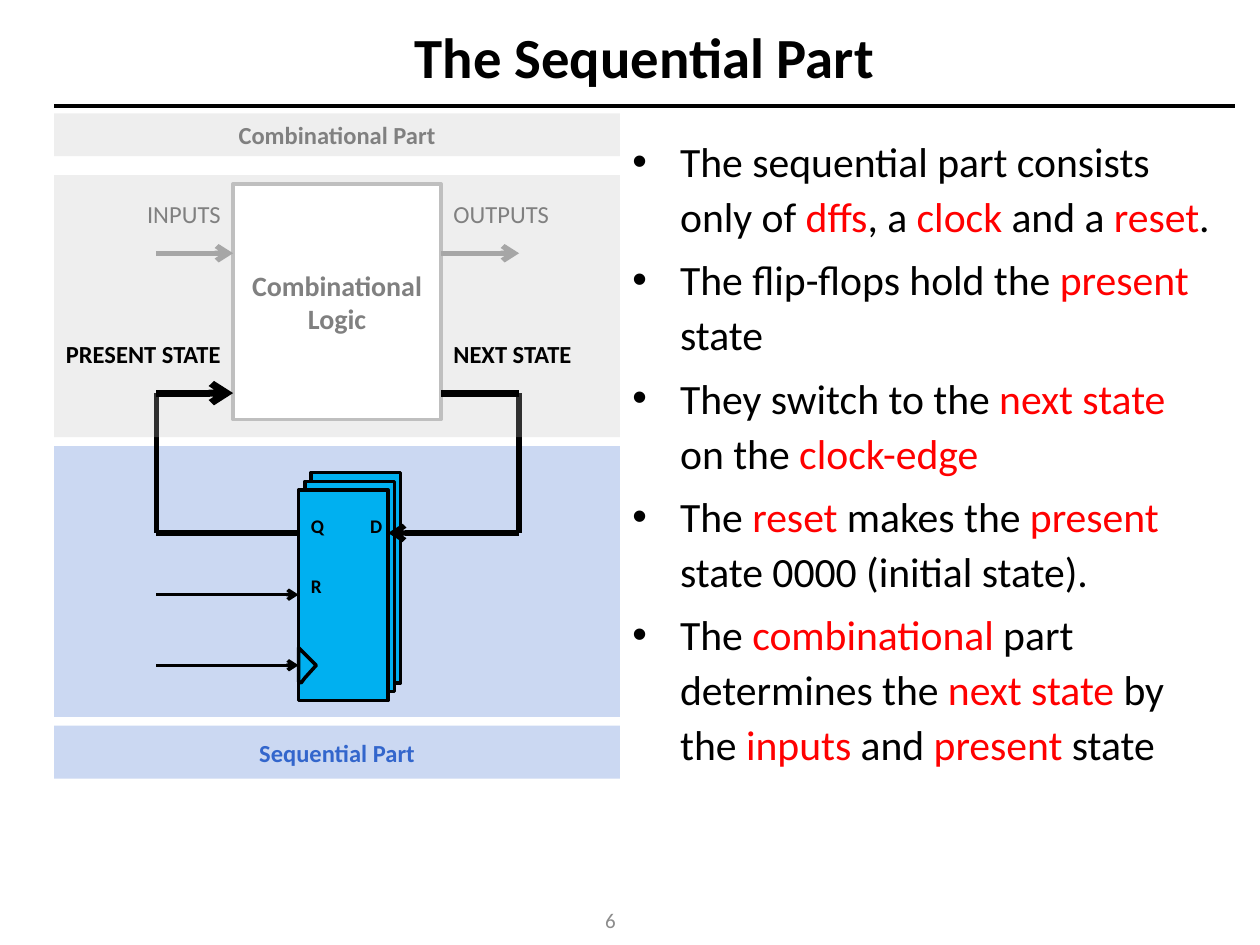
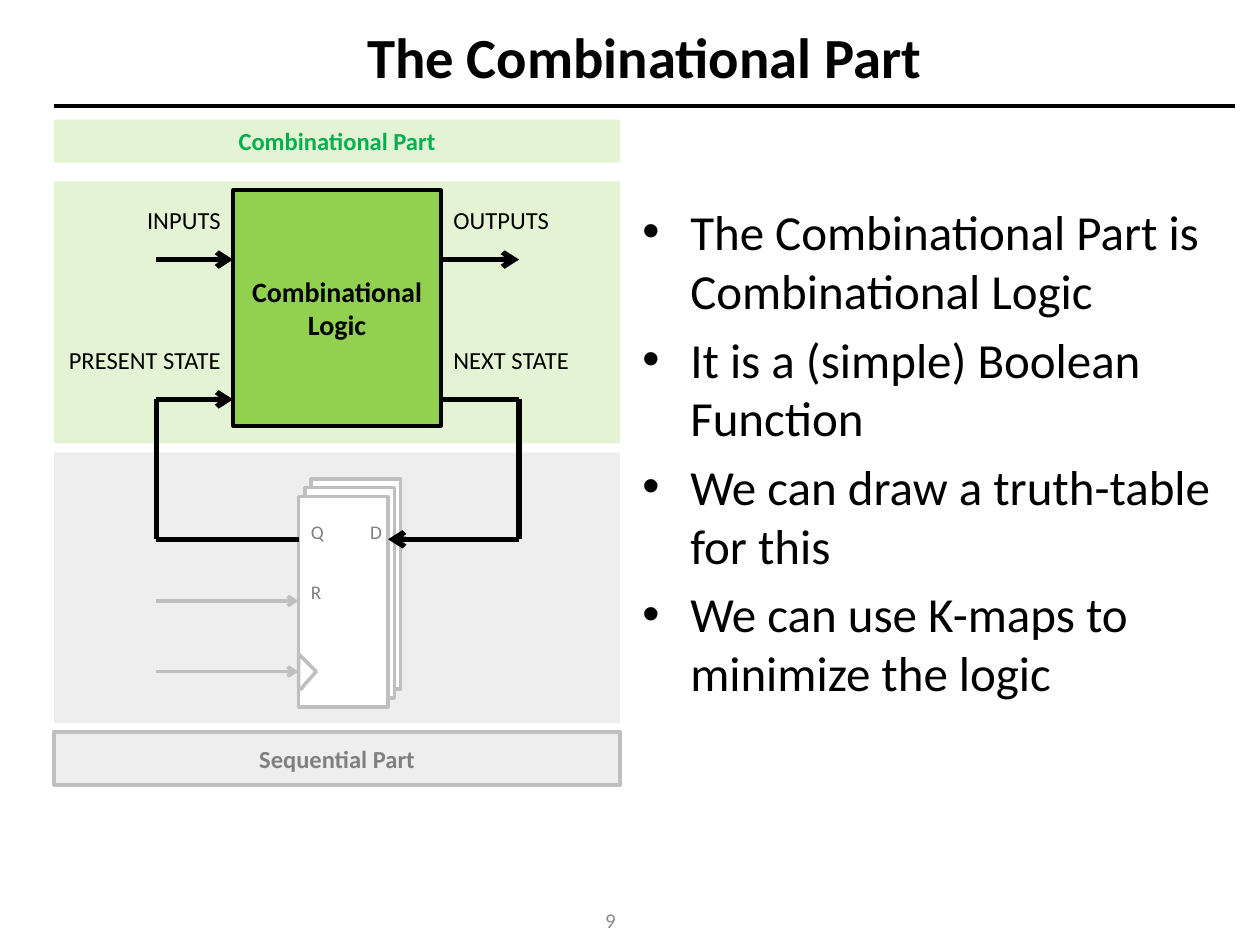
import pptx
import pptx.util
import pptx.dml.color
import pptx.enum.shapes
import pptx.enum.text
import pptx.oxml
import pptx.oxml.ns

Inches = pptx.util.Inches
Pt = pptx.util.Pt
RGB = pptx.dml.color.RGBColor
ALIGN = pptx.enum.text.PP_ALIGN
ANCHOR = pptx.enum.text.MSO_ANCHOR
RECT = pptx.enum.shapes.MSO_SHAPE.RECTANGLE
LINE = pptx.enum.shapes.MSO_CONNECTOR.STRAIGHT

BLACK = RGB(0, 0, 0)
WHITE = RGB(255, 255, 255)
RED = RGB(255, 0, 0)
SILVER = RGB(0xBF, 0xBF, 0xBF)
MIST = RGB(0xA6, 0xA6, 0xA6)
GRAY = RGB(0x80, 0x80, 0x80)
FOOT = RGB(0x8C, 0x8C, 0x8C)
BLUE = RGB(0x33, 0x66, 0xCC)
CYAN = RGB(0, 0xB0, 0xF0)
LIME = RGB(0x92, 0xD0, 0x50)
GREEN = RGB(0, 0xB0, 0x50)
FONT = "Calibri"

LEFT, WIDE = 0.43, 4.49
FLOP = (2.37, 3.89, 0.71, 1.67)
LOGIC = (1.85, 1.46, 1.65, 1.87)
FAR_L, FAR_R = 1.24, 4.12
IN_Y, STATE_Y, FLOP_Y = 2.01, 3.12, 4.23
PINS = [("Q", 2.37, 4.03), ("D", 2.84, 4.03), ("R", 2.37, 4.51)]
CLOCK = [(2.37, 5.41), (2.37, 5.14), (2.51, 5.28), (2.42, 5.38), (2.39, 5.42)]

SLIDES = [
    dict(
        title="The Sequential Part", page="6", drop=0,
        body=(4.92, 0.99, 4.84, 5.59), size=23.8, lead=1.1,
        points=[
            "The sequential part consists only of *dffs*, a *clock* and a *reset*.",
            "The flip-flops hold the *present* state",
            "They switch to the *next state *on the *clock-edge*",
            "The *reset* makes the *present* state 0000 (initial state).",
            "The *combinational* part determines the *next state *by the *inputs* and *present* state",
        ],
        veil=True,
        top=dict(tint=SILVER, head=GRAY, fill=WHITE, edge=SILVER, ink=GRAY,
                 wire=MIST),
        low=dict(tint=BLUE, head=BLUE, fill=CYAN, edge=BLACK, ink=BLACK,
                 bold=True, rim=None),
        state=dict(bold=True, width=4),
    ),
    dict(
        title="The Combinational Part", page="9", drop=0.05,
        body=(5, 1.55, 4.72, 5.59), size=28, lead=1,
        points=[
            "The Combinational Part is Combinational Logic",
            "It is a (simple) Boolean Function",
            "We can draw a truth-table for this",
            "We can use K-maps to minimize the logic",
        ],
        veil=False,
        top=dict(tint=LIME, head=GREEN, fill=LIME, edge=BLACK, ink=BLACK,
                 wire=BLACK),
        low=dict(tint=SILVER, head=GRAY, fill=WHITE, edge=SILVER, ink=GRAY,
                 bold=False, rim=SILVER),
        state=dict(bold=False, width=3),
    ),
]


def style(run, size, ink, bold=False):
    run.font.name = FONT
    run.font.size = Pt(size)
    run.font.color.rgb = ink
    run.font.bold = bold


def write(shape, text, size, ink, bold=False, align=ALIGN.CENTER,
          anchor=ANCHOR.MIDDLE):
    frame = shape.text_frame
    frame.text = text
    frame.word_wrap = True
    frame.vertical_anchor = anchor
    para = frame.paragraphs[0]
    para.alignment = align
    style(para.runs[0], size, ink, bold)


def label(slide, box, text, *args, **opts):
    shape = slide.shapes.add_textbox(*map(Inches, box))
    write(shape, text, *args, **opts)


def paint(shape, fill, edge=None, alpha=None):
    shape.shadow.inherit = False
    shape.fill.solid()
    shape.fill.fore_color.rgb = fill
    if alpha:
        tone = shape.fill._xPr.find(".//" + pptx.oxml.ns.qn("a:srgbClr"))
        tone.append(pptx.oxml.parse_xml(
            f'<a:alpha {pptx.oxml.ns.nsdecls("a")} val="{alpha * 1000}"/>'))
    if edge is None:
        shape.line.fill.background()
    else:
        shape.line.color.rgb = edge
        shape.line.width = Pt(2)
    return shape


def block(slide, box, fill, edge=None, alpha=None):
    shape = slide.shapes.add_shape(RECT, *map(Inches, box))
    return paint(shape, fill, edge, alpha)


def wire(slide, start, end, ink=BLACK, width=3, arrow=False):
    line = slide.shapes.add_connector(LINE, *map(Inches, start + end))
    line.line.color.rgb = ink
    line.line.width = Pt(width)
    space = pptx.oxml.ns.nsdecls("a")
    if arrow:
        line.line._get_or_add_ln().append(
            pptx.oxml.parse_xml(f'<a:tailEnd {space} type="arrow"/>'))
    line._element.spPr.append(pptx.oxml.parse_xml(f"<a:effectLst {space}/>"))


def frame(slide, data):
    wire(slide, (LEFT, 0.84), (9.8, 0.84), width=2)
    label(slide, (0.35, 0.13, 9.53, 0.63), data["title"], 32.4, BLACK, True)
    label(slide, (3.82, 7.1, 2.05, 0.4), data["page"], 12, FOOT)


def bullets(slide, data):
    text = slide.shapes.add_textbox(*map(Inches, data["body"])).text_frame
    text.word_wrap = True
    for i, point in enumerate(data["points"]):
        para = text.add_paragraph() if i else text.paragraphs[0]
        prop = para._p.get_or_add_pPr()
        prop.set("marL", str(Inches(0.38)))
        prop.set("indent", str(-Inches(0.38)))
        for tag in ('buFont typeface="Arial"', 'buChar char="•"'):
            prop.append(pptx.oxml.parse_xml(
                f'<a:{tag} {pptx.oxml.ns.nsdecls("a")}/>'))
        para.line_spacing = float(data["lead"])
        if i:
            para.space_before = Pt(round(data["size"] * 0.2, 1))
        for j, part in enumerate(point.split("*")):
            if part:
                run = para.add_run()
                run.text = part
                style(run, data["size"], RED if j % 2 else BLACK)


def shift(box, drop):
    return (box[0], box[1] + drop) + tuple(box[2:])


def flops(slide, low, drop):
    x, y, w, h = shift(FLOP, drop)
    for k in (2, 1, 0):
        block(slide, (x + 0.05 * k, y - 0.07 * k, w, h), low["fill"], low["edge"])
    for level in (4.72, 5.28):
        wire(slide, (FAR_L, level + drop), (x, level + drop), low["edge"], 2, True)
    spots = [tuple(map(Inches, shift(p, drop))) for p in CLOCK]
    path = slide.shapes.build_freeform(*spots[0])
    path.add_line_segments(spots[1:], close=True)
    paint(path.convert_to_shape(), low["fill"], low["edge"])
    for name, left, top in PINS:
        label(slide, (left, top + drop, 0.4, 0.29), name, 11, low["ink"],
              low["bold"], ALIGN.LEFT, ANCHOR.TOP)


def loop(slide, drop):
    base, state = FLOP_Y + drop, STATE_Y + drop
    wire(slide, (FAR_R, base), (FLOP[0] + FLOP[2], base), arrow=True)
    wire(slide, (FAR_L, base), (FLOP[0], base))
    for x in (FAR_L, FAR_R):
        wire(slide, (x, base), (x, state))


def logic(slide, data):
    top, state, drop = data["top"], data["state"], data["drop"]
    box = shift(LOGIC, drop)
    near, out = box[0], box[0] + box[2]
    write(block(slide, box, top["fill"], top["edge"]),
          "Combinational Logic", 16, top["ink"], True)
    rows = [
        (IN_Y, "INPUTS", "OUTPUTS", top["ink"], False, top["wire"], 3, True),
        (STATE_Y, "PRESENT STATE", "NEXT STATE", BLACK, state["bold"], BLACK,
         state["width"], False),
    ]
    for y, left, right, ink, bold, tone, width, arrow in rows:
        y += drop
        wire(slide, (FAR_L, y), (near, y), tone, width, True)
        wire(slide, (out, y), (FAR_R, y), tone, width, arrow)
        label(slide, (0.24, y - 0.48, near - 0.24, 0.34), left, 14, ink, bold,
              ALIGN.RIGHT, ANCHOR.TOP)
        label(slide, (out, y - 0.48, 1.42, 0.34), right, 14, ink, bold,
              ALIGN.LEFT, ANCHOR.TOP)


def circuit(slide, data):
    top, low, drop = data["top"], data["low"], data["drop"]

    def band(y, high, tint, edge=None):
        return block(slide, (LEFT, y + drop, WIDE, high), tint, edge, 25)

    band(3.54, 2.15, low["tint"])
    if not data["veil"]:
        band(1.39, 2.08, top["tint"])
    flops(slide, low, drop)
    loop(slide, drop)
    if data["veil"]:
        band(1.39, 2.08, top["tint"])
    logic(slide, data)
    write(band(0.9, 0.34, top["tint"]), "Combinational Part", 14, top["head"], True)
    write(band(5.76, 0.42, low["tint"], low["rim"]), "Sequential Part", 14,
          low["head"], True)


def main():
    deck = pptx.Presentation()
    deck.slide_width, deck.slide_height = Inches(10), Inches(7.5)
    for data in SLIDES:
        slide = deck.slides.add_slide(deck.slide_layouts[6])
        frame(slide, data)
        bullets(slide, data)
        circuit(slide, data)
    deck.save("out.pptx")


if __name__ == "__main__":
    main()
